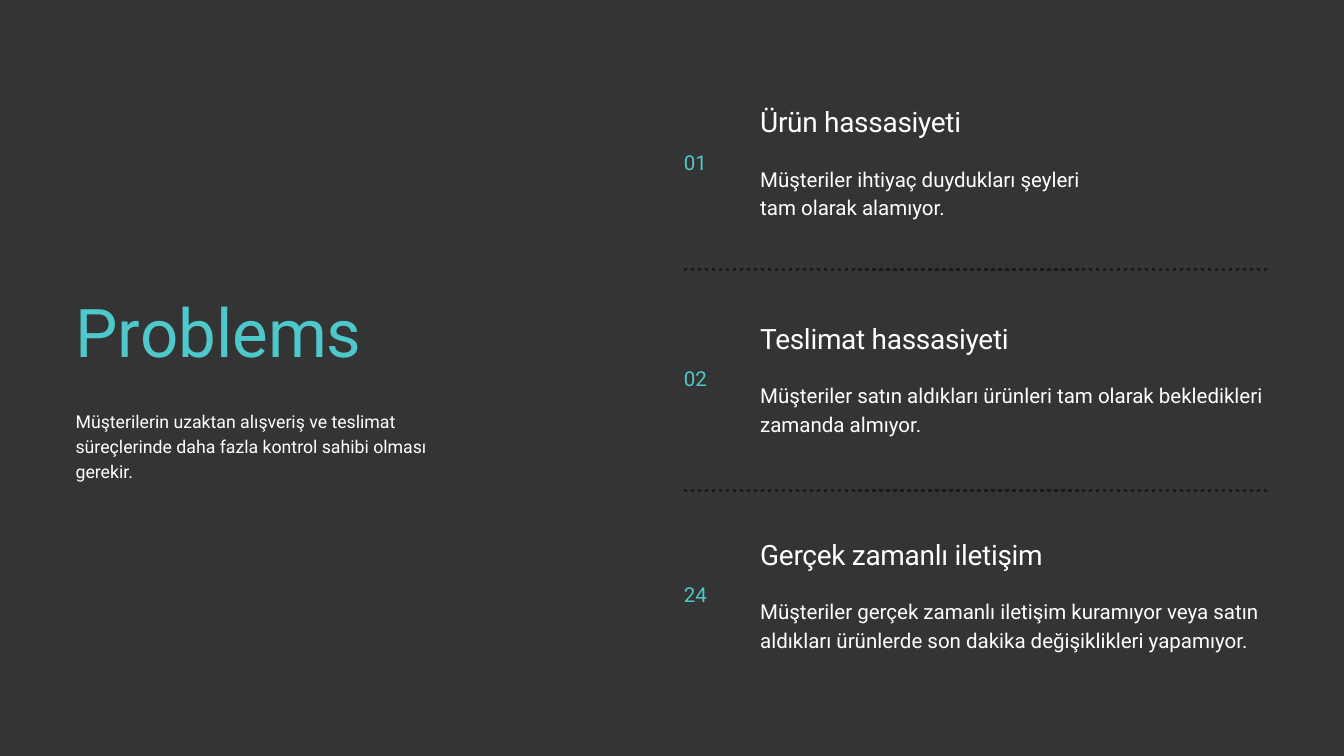
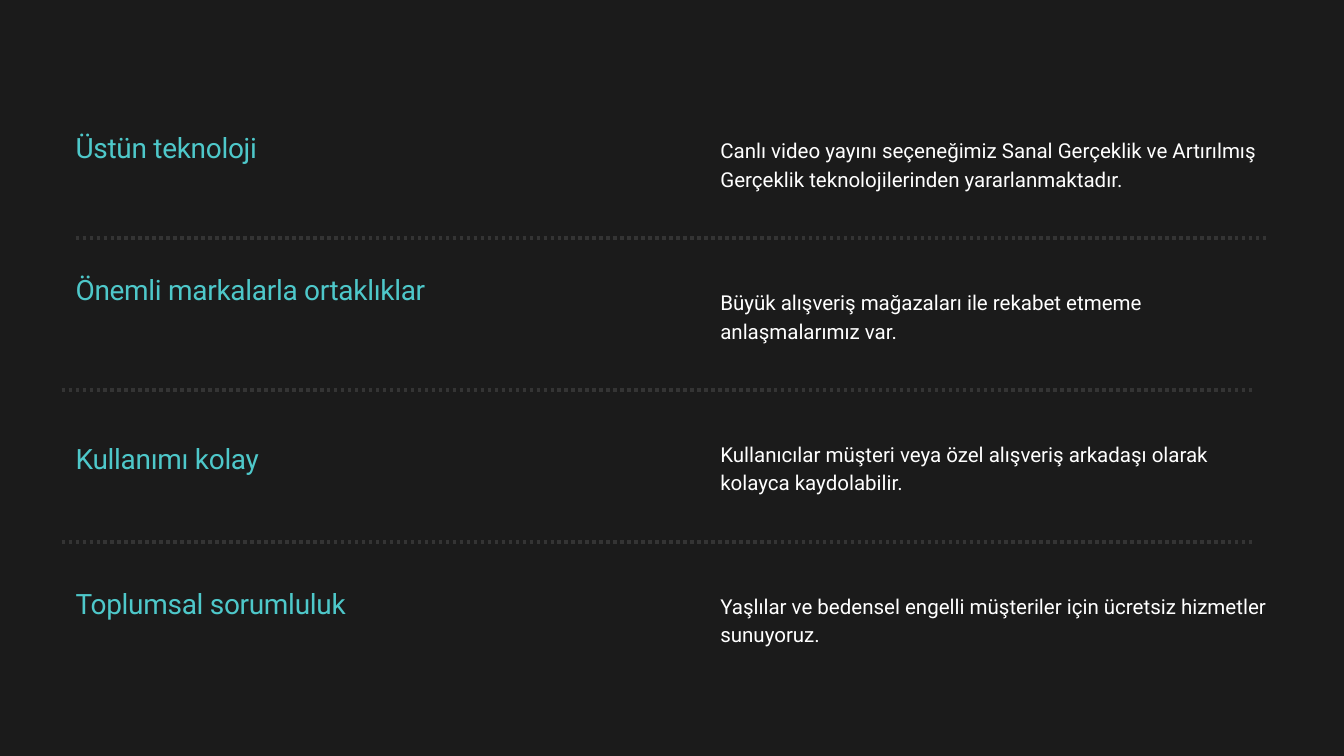
from dataclasses import dataclass

from lxml.etree import SubElement
from pptx import Presentation
from pptx.dml.color import RGBColor
from pptx.enum.dml import MSO_LINE
from pptx.enum.shapes import MSO_CONNECTOR
from pptx.enum.text import MSO_ANCHOR, MSO_AUTO_SIZE, PP_ALIGN
from pptx.oxml.ns import qn
from pptx.util import Pt

TITLE = "Problems"
SUMMARY = ("Müşterilerin uzaktan alışveriş ve teslimat süreçlerinde daha fazla "
           "kontrol sahibi olması gerekir.")

# number, heading, description
PROBLEMS = [
    ("01", "Ürün hassasiyeti",
     "Müşteriler ihtiyaç duydukları şeyleri\ntam olarak alamıyor."),
    ("02", "Teslimat hassasiyeti",
     "Müşteriler satın aldıkları ürünleri tam olarak bekledikleri zamanda almıyor."),
    ("24", "Gerçek zamanlı iletişim",
     "Müşteriler gerçek zamanlı iletişim kuramıyor veya satın aldıkları ürünlerde "
     "son dakika değişiklikleri yapamıyor."),
]

# heading, heading top in px, description
STRENGTHS = [
    ("Üstün teknoloji", 186,
     "Canlı video yayını seçeneğimiz Sanal Gerçeklik ve Artırılmış Gerçeklik "
     "teknolojilerinden yararlanmaktadır."),
    ("Önemli markalarla ortaklıklar", 390,
     "Büyük alışveriş mağazaları ile rekabet etmeme\nanlaşmalarımız var."),
    ("Kullanımı kolay", 631,
     "Kullanıcılar müşteri veya özel alışveriş arkadaşı olarak kolayca kaydolabilir."),
    ("Toplumsal sorumluluk", 838,
     "Yaşlılar ve bedensel engelli müşteriler için ücretsiz hizmetler sunuyoruz."),
]

PX = 9525  # EMU per px
WIDTH, HEIGHT = 1920, 1080
LEFT, RIGHT = 108, 1812


@dataclass(frozen=True)
class TextStyle:
    size: float
    leading: float
    color: str
    tracking: int = 0  # hundredths of a point


class Theme:
    font = "Roboto"
    grey, black, white, teal = "343434", "1B1B1B", "FFFFFF", "4EC8CA"
    rule_width = 3.75
    title = TextStyle(72, 86.4, teal)
    summary = TextStyle(19, 26.6, white)
    heading = TextStyle(30, 36, white, -30)
    teal_heading = TextStyle(30, 36, teal, -30)
    body = TextStyle(22, 30.8, white)
    number = TextStyle(22, 30.8, teal)


def write(shape, text, style, left, top, width, height):
    """Place a text shape and fill it, one paragraph per line of text."""
    shape.left, shape.top = left * PX, top * PX
    shape.width, shape.height = width * PX, height * PX
    frame = shape.text_frame
    frame.text = text
    frame.word_wrap = True
    frame.auto_size = MSO_AUTO_SIZE.NONE
    frame.vertical_anchor = MSO_ANCHOR.TOP
    frame.margin_left = frame.margin_top = frame.margin_right = frame.margin_bottom = 0
    for para in frame.paragraphs:
        para.alignment = PP_ALIGN.LEFT
        para.line_spacing = Pt(style.leading)
        para.space_before = para.space_after = Pt(0)
        for span in para.runs:
            span.font.name = Theme.font
            span.font.size = Pt(style.size)
            span.font.color.rgb = RGBColor.from_string(style.color)
            if style.tracking:
                span._r.get_or_add_rPr().set("spc", str(style.tracking))


def add_text(slide, *content):
    write(slide.shapes.add_textbox(0, 0, 0, 0), *content)


def add_dotted_rule(slide, left, right, y, color):
    rule = slide.shapes.add_connector(
        MSO_CONNECTOR.STRAIGHT, left * PX, y * PX, right * PX, y * PX)
    rule.line.color.rgb = RGBColor.from_string(color)
    rule.line.width = Pt(Theme.rule_width)
    rule.line.dash_style = MSO_LINE.ROUND_DOT
    SubElement(rule._element.spPr, qn("a:effectLst"))


def add_slide(deck, layout_name, background):
    slide = deck.slides.add_slide(deck.slide_layouts.get_by_name(layout_name))
    slide.background.fill.solid()
    slide.background.fill.fore_color.rgb = RGBColor.from_string(background)
    return slide


def add_problems(deck):
    slide = add_slide(deck, "Title Slide", Theme.grey)
    write(slide.shapes.title, TITLE, Theme.title, LEFT, 414, 655, 116)
    write(slide.placeholders[1], SUMMARY, Theme.summary, LEFT, 582, 583, 68)

    number_left, text_left = 977, 1086
    text_width = RIGHT - text_left
    for index, (number, heading, description) in enumerate(PROBLEMS):
        top = 150 + 309 * index
        add_text(slide, heading, Theme.heading, text_left, top, text_width, 49)
        add_text(slide, description, Theme.body, text_left, top + 82, text_width, 80)
        add_text(slide, number, Theme.number, number_left, top + 58, 72, 40)
    for y in (385, 701):
        add_dotted_rule(slide, number_left, RIGHT, y, Theme.black)


def add_strengths(deck):
    slide = add_slide(deck, "Blank", Theme.black)
    text_left = 1029
    for index, (heading, heading_top, description) in enumerate(STRENGTHS):
        top = 191 + 217 * index
        add_text(slide, description, Theme.body, text_left, top, RIGHT - text_left, 80)
        add_text(slide, heading, Theme.teal_heading, LEFT, heading_top, 672, 47)
        if index < len(STRENGTHS) - 1:
            shift = 20 if index else 0
            add_dotted_rule(slide, LEFT - shift, RIGHT - shift, top + 149, Theme.grey)


def main():
    deck = Presentation()
    deck.slide_width, deck.slide_height = WIDTH * PX, HEIGHT * PX
    add_problems(deck)
    add_strengths(deck)
    deck.save("out.pptx")


if __name__ == "__main__":
    main()
